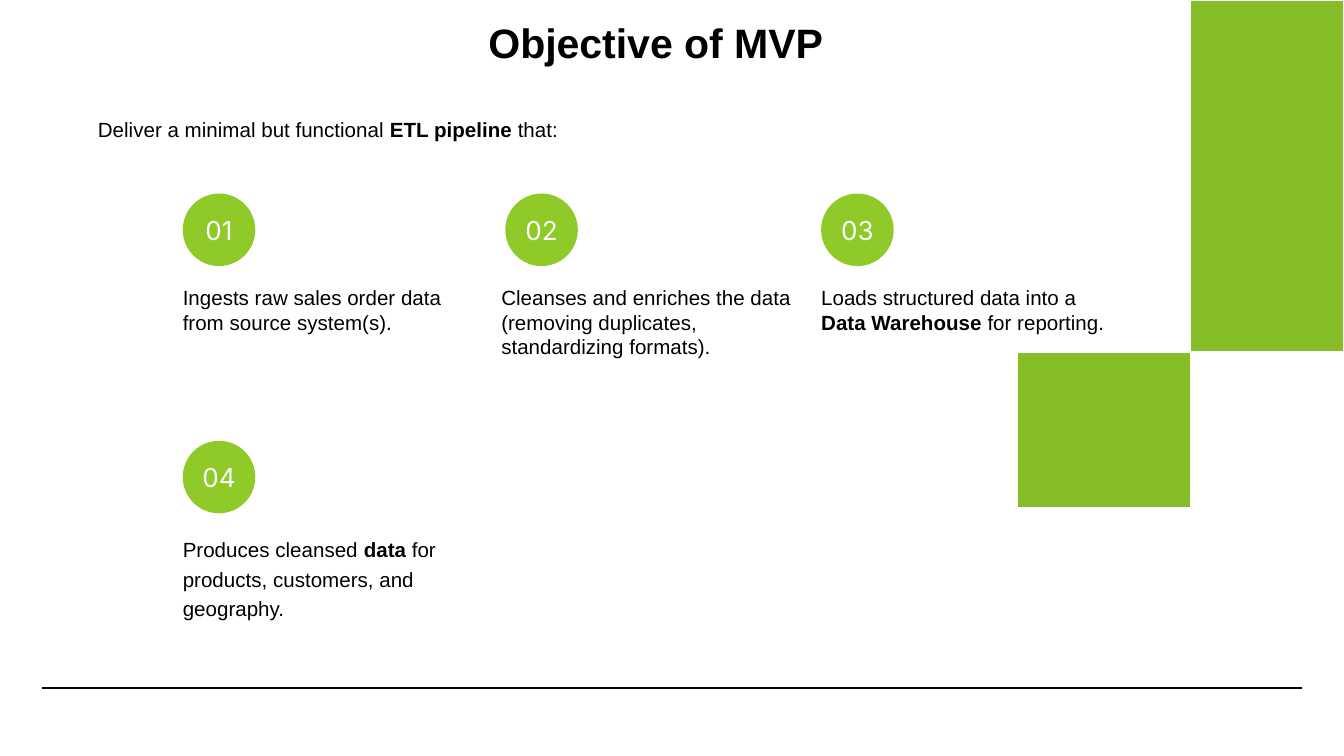
from lxml import etree
from pptx import Presentation
from pptx import util as u
from pptx.dml.color import RGBColor
from pptx.enum import shapes, text
from pptx.oxml.ns import qn

BODY = {"name": "Arial", "size": u.Pt(11)}
TITLE = {"name": "Arial", "size": u.Pt(22)}
NUMBER = {"name": "Inter", "size": u.Pt(14)}

STEPS = [
    (1.36, 1.36, 1.44, None,
     [("Ingests raw sales order data from source system(s).", False)]),
    (3.73, 3.76, 1.44, None,
     [("Cleanses and enriches the data (removing duplicates, standardizing formats).", False)]),
    (6.11, 6.11, 1.44, None,
     [("Loads structured data into a ", False), ("Data Warehouse", True), (" for reporting.", False)]),
    (1.36, 1.36, 3.28, 1.2,
     [("Produces cleansed ", False), ("data", True),
      (" for products, customers, and geography.", False)]),
]


def rgb(value):
    return RGBColor.from_string(value)


def box(*values):
    return [u.Inches(v) for v in values]


def write(sp, runs, font, color="000000", align=text.PP_ALIGN.LEFT,
          anchor=text.MSO_ANCHOR.TOP, inset=0, spacing=None):
    tf = sp.text_frame
    frame = {"word_wrap": True, "auto_size": text.MSO_AUTO_SIZE.NONE, "vertical_anchor": anchor}
    frame.update({f"margin_{side}": u.Inches(inset) for side in ("left", "top", "right", "bottom")})
    for key, value in frame.items():
        setattr(tf, key, value)
    p = tf.paragraphs[0]
    p.alignment = align
    p.line_spacing = spacing
    for words, bold in runs:
        r = p.add_run()
        r.text = words
        for key, value in {**font, "bold": bold}.items():
            setattr(r.font, key, value)
        r.font.color.rgb = rgb(color)


def add_filled(s, kind, area, fill, line=None):
    sp = s.shapes.add_shape(kind, *box(*area))
    sp.shadow.inherit = False
    sp.fill.solid()
    sp.fill.fore_color.rgb = rgb(fill)
    if line:
        sp.line.color.rgb = rgb(line)
        sp.line.width = u.Pt(0.75)
    else:
        sp.line.fill.background()
    return sp


def add_title(s, left, top, width, height):
    sp = s.shapes.title
    sp.left, sp.top, sp.width, sp.height = box(left, top, width, height)
    write(sp, [("Objective of MVP", True)], TITLE, align=text.PP_ALIGN.CENTER)


def add_intro(s, left, top, width, height):
    sp = s.shapes.add_textbox(*box(left, top, width, height))
    runs = [("Deliver a minimal but functional ", False), ("ETL pipeline", True), (" that:", False)]
    write(sp, runs, BODY, inset=0.1)


def add_step(s, number, left, circle_left, top, spacing, runs):
    sp = add_filled(s, shapes.MSO_SHAPE.OVAL, (circle_left, top, 0.54, 0.54), "90CA28")
    write(sp, [(f"{number:02d}", False)], NUMBER, "FAFAFA",
          text.PP_ALIGN.CENTER, text.MSO_ANCHOR.MIDDLE)
    sp = s.shapes.add_textbox(*box(left, top + 0.68, 2.25, 0.8))
    write(sp, runs, BODY, spacing=spacing)


def add_footer_line(s, left, top, width):
    line = s.shapes.add_connector(shapes.MSO_CONNECTOR.STRAIGHT, *box(left, top, left + width, top))
    line.line.color.rgb = rgb("000000")
    line.line.width = u.Pt(0.75)
    etree.SubElement(line._element.spPr, qn("a:effectLst"))


def add_blocks(s, left, top, width, height):
    split_x, split_y = 1.29, 2.62
    for area in ((left + split_x, top, width - split_x, split_y),
                 (left, top + split_y, split_x, height - split_y)):
        add_filled(s, shapes.MSO_SHAPE.FLOWCHART_PROCESS, area, "86BC25", "FFFFFF")


def main():
    prs = Presentation()
    prs.slide_width = u.Inches(10)
    prs.slide_height = prs.slide_width * 9 // 16
    s = prs.slides.add_slide(prs.slide_layouts[5])
    add_title(s, 2, 0.13, 5.76, 0.64)
    add_intro(s, 0.63, 0.77, 3.88, 0.54)
    for number, step in enumerate(STEPS, 1):
        add_step(s, number, *step)
    add_footer_line(s, 0.31, 5.12, 9.38)
    add_blocks(s, 7.57, 0, 2.43, 3.78)
    prs.save("out.pptx")


if __name__ == "__main__":
    main()
